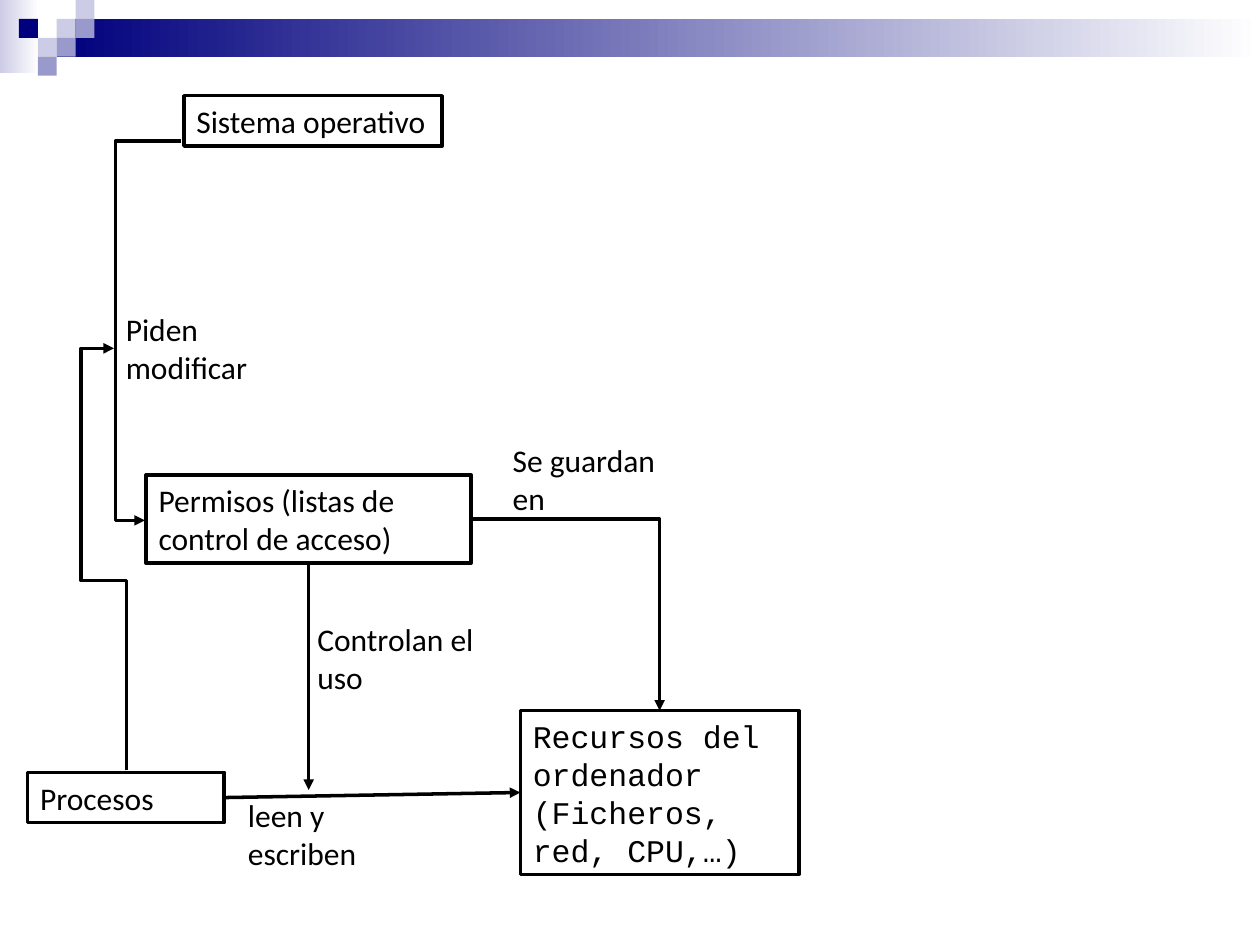
from lxml import etree
from pptx import Presentation
from pptx.dml.color import RGBColor
from pptx.enum.shapes import MSO_CONNECTOR as Route, MSO_SHAPE as Preset
from pptx.enum.text import MSO_ANCHOR as Anchor, PP_ALIGN as Align
from pptx.oxml.ns import qn
from pptx.util import Inches, Pt

BLACK, WHITE = "000000", "FFFFFF"
NAVY, LILAC, PALE = "00007D", "9999CC", "CCCCE6"

# left, top, width, height, first and last colour
BANDS = [
    (0, 0, 0.31, 0.58, PALE, WHITE),
    (0.45, 0.15, 9.55, 0.3, NAVY, WHITE),
]
# column, row, colour on a grid of small squares
SQUARE = 0.15
SQUARES = [
    (3, 1, PALE), (4, 0, PALE), (4, 1, LILAC), (2, 2, PALE),
    (1, 1, NAVY), (3, 2, LILAC), (2, 3, LILAC),
]
BOXES = {
    "recursos": (4.13, 5.64, 2.21, 1.3,
                 ["Recursos del ordenador", "(Ficheros, red, CPU,…)"],
                 {"font": "Courier New", "spacing": Pt(21.7)}),
    "procesos": (0.22, 6.13, 1.56, 0.4, ["Procesos"], {}),
    "permisos": (1.16, 3.77, 2.58, 0.7, ["Permisos (listas de control de acceso)"], {}),
    "sistema": (1.46, 0.76, 2.05, 0.4, ["Sistema operativo"], {}),
}
LABELS = [
    (1.87, 6.27, 1.16, "leen y escriben"),
    (2.42, 4.87, 1.48, "Controlan el uso"),
    (3.97, 3.45, 1.48, "Se guardan en"),
    (0.9, 2.41, 1.48, "Piden modificar"),
]
LABEL_HEIGHT = 0.7
TOP, LEFT, BOTTOM, RIGHT = range(4)


def color(value):
    return RGBColor.from_string(value)


def add_rect(slide, left, top, width, height, fill, last=None):
    """Add a plain rectangle, shaded from left to right when last is given."""
    rect = slide.shapes.add_shape(
        Preset.RECTANGLE, Inches(left), Inches(top), Inches(width), Inches(height))
    rect.shadow.inherit = False
    rect.line.fill.background()
    if last:
        rect.fill.gradient()
        rect.fill.gradient_angle = 0
        for stop, position, shade in zip(rect.fill.gradient_stops, (0, 1), (fill, last)):
            stop.position = position
            stop.color.rgb = color(shade)
    else:
        rect.fill.solid()
        rect.fill.fore_color.rgb = color(fill)
    return rect


def write(shape, lines, font="Calibri", size=18, spacing=None):
    frame = shape.text_frame
    frame.word_wrap = True
    frame.vertical_anchor = Anchor.TOP
    for index, line in enumerate(lines):
        para = frame.add_paragraph() if index else frame.paragraphs[0]
        para.alignment = Align.LEFT
        para.line_spacing = spacing
        span = para.add_run()
        span.text = line
        span.font.name = font
        span.font.size = Pt(size)
        span.font.color.rgb = color(BLACK)


def add_arrow(slide, start, end, preset=None, bends=(), turn=None):
    """Add an arrow; bends are the elbow adjustments, turn is its rotation in degrees."""
    arrow = slide.shapes.add_connector(
        Route.ELBOW if preset else Route.STRAIGHT, *map(Inches, start + end))
    arrow.line.color.rgb = color(BLACK)
    arrow.line.width = Pt(2)
    props = arrow._element.spPr
    etree.SubElement(arrow.line._get_or_add_ln(), qn("a:tailEnd"), type="triangle")
    etree.SubElement(props, qn("a:effectLst"))
    if preset:
        geometry = props.find(qn("a:prstGeom"))
        geometry.set("prst", preset)
        guides = geometry.find(qn("a:avLst"))
        for number, bend in enumerate(bends, 1):
            etree.SubElement(guides, qn("a:gd"), name=f"adj{number}",
                             fmla=f"val {round(bend * 100000)}")
    if turn:
        frame = props.find(qn("a:xfrm"))
        frame.set("rot", str(turn * 60000))
        frame.set("flipV", "1")
    return arrow


def main():
    deck = Presentation()
    deck.slide_width, deck.slide_height = Inches(10), Inches(7.5)
    page = deck.slides.add_slide(deck.slide_layouts[6])

    for band in BANDS:
        add_rect(page, *band)
    for column, row, fill in SQUARES:
        add_rect(page, column * SQUARE, row * SQUARE, SQUARE, SQUARE, fill)

    boxes = {}
    for name, (left, top, width, height, lines, style) in BOXES.items():
        box = boxes[name] = add_rect(page, left, top, width, height, WHITE)
        box.line.color.rgb = color(BLACK)
        box.line.width = Pt(2)
        write(box, lines, **style)

    read_write = add_arrow(page, (1.78, 6.33), (4.13, 6.29))
    read_write.begin_connect(boxes["procesos"], RIGHT)
    read_write.end_connect(boxes["recursos"], LEFT)

    control = add_arrow(page, (2.45, 4.47), (2.45, 6.27))
    control.begin_connect(boxes["permisos"], BOTTOM)

    stored = add_arrow(page, (3.74, 4.12), (5.24, 5.64), "bentConnector2")
    stored.begin_connect(boxes["permisos"], RIGHT)
    stored.end_connect(boxes["recursos"], TOP)

    add_arrow(page, (1.44, 1.12), (1.15, 4.13), "bentConnector3", [1.8])
    # Unturned frame of the arrow that rises from Procesos
    add_arrow(page, (-0.72, 4.39), (2.63, 4.49), "bentConnector4", [0.45, 3.63], turn=270)

    for left, top, width, text in LABELS:
        label = page.shapes.add_textbox(
            Inches(left), Inches(top), Inches(width), Inches(LABEL_HEIGHT))
        write(label, [text])

    deck.save("out.pptx")


if __name__ == "__main__":
    main()
